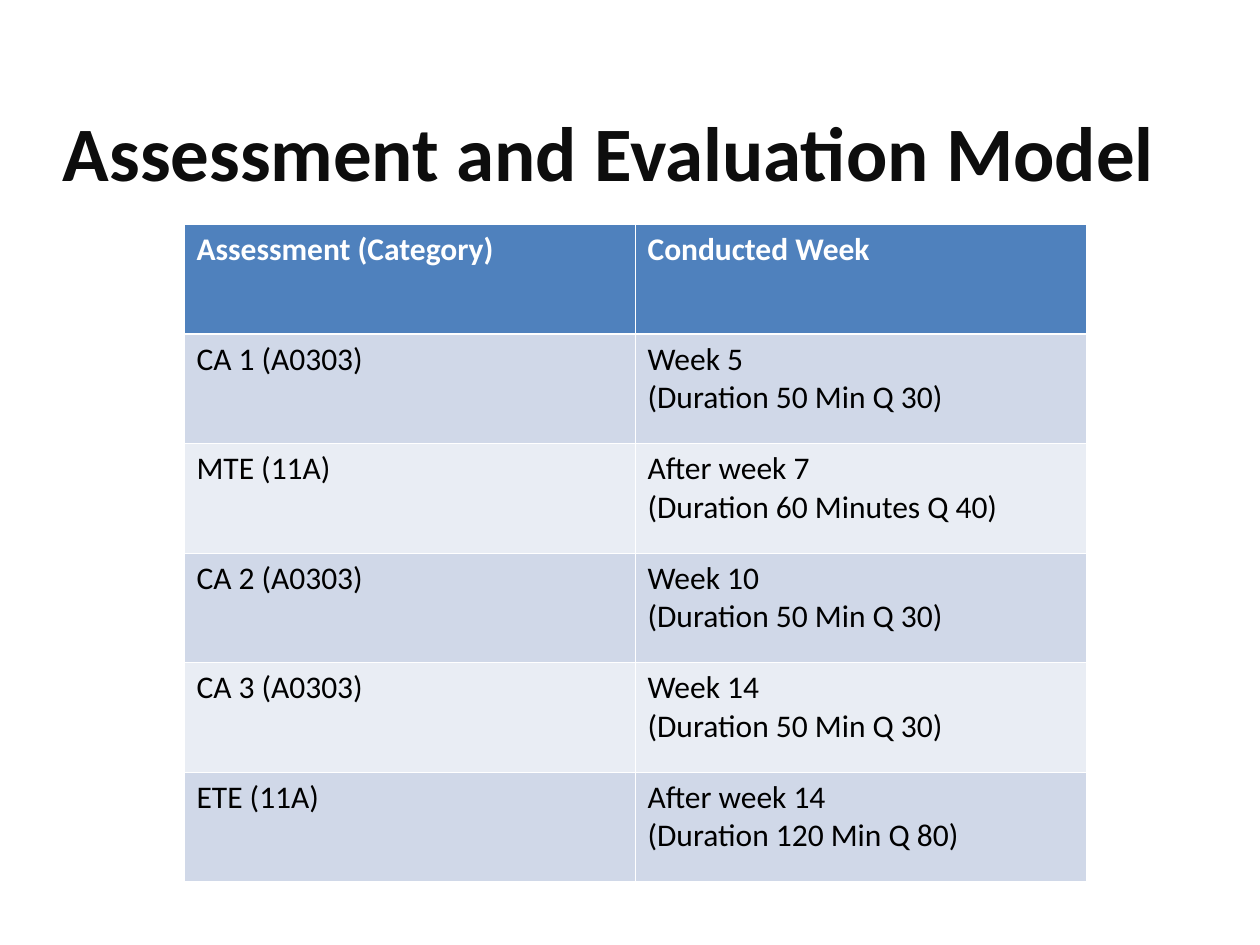
"""Build the assessment and evaluation slide."""
from lxml.etree import SubElement as Sub
from pptx import Presentation as Deck
from pptx.dml.color import RGBColor as Color
from pptx.enum.text import MSO_ANCHOR as Anchor
from pptx.oxml.ns import qn
from pptx.util import Inches, Pt

TITLE = "Assessment and Evaluation Model"
ROWS = [
    ("Assessment (Category)", "Conducted Week"),
    ("CA 1 (A0303)", "Week 5\v(Duration 50 Min Q 30)"),
    ("MTE (11A)", "After week 7\v(Duration 60 Minutes Q 40)"),
    ("CA 2 (A0303)", "Week 10\n(Duration 50 Min Q 30)"),
    ("CA 3 (A0303)", "Week 14\n(Duration 50 Min Q 30)"),
    ("ETE (11A)", "After week 14\n(Duration 120 Min Q 80)"),
]
THEME = {
    "title": {"name": "Calibri", "size": Pt(44), "bold": True, "color": "0D0D0D"},
    "head": {"name": "Calibri", "size": Pt(18), "bold": True, "color": "FFFFFF"},
    "body": {"name": "Calibri", "size": Pt(18), "bold": False, "color": "000000"},
    "fills": {"head": "4F81BD", "bands": ("E9EDF4", "D0D8E8")},
    "rule": {"color": "FFFFFF", "thin": Pt(0.45), "thick": Pt(1.47)},
}
WIDE, HIGH = Inches(10), Inches(7.5)
COL, ROW = Inches(3.58), Inches(0.87)


def style(frame, look):
    for para in frame.paragraphs:
        for run in para.runs:
            for key, val in look.items():
                if key == "color":
                    run.font.color.rgb = Color.from_string(val)
                else:
                    setattr(run.font, key, val)


def rule(cell, row):
    edge = THEME["rule"]
    heavy = {0: "B", 1: "T"}.get(row)
    props = cell._tc.get_or_add_tcPr()
    for side in "LRTB":
        width = edge["thick" if side == heavy else "thin"]
        line = Sub(props, qn(f"a:ln{side}"), w=str(int(width)))
        Sub(Sub(line, qn("a:solidFill")), qn("a:srgbClr"), val=edge["color"])


def add_title(slide):
    box = slide.shapes.add_textbox(
        int(WIDE * 0.04), Inches(0.8), Inches(9.48), Inches(0.8))
    frame = box.text_frame
    frame.word_wrap = True
    frame.vertical_anchor = Anchor.MIDDLE
    frame.text = TITLE
    style(frame, THEME["title"])


def add_grid(slide):
    cols = len(ROWS[0])
    table = slide.shapes.add_table(
        len(ROWS), cols, Inches(1.46), Inches(1.78),
        COL * cols, ROW * len(ROWS)).table
    for col in table.columns:
        col.width = COL
    for r, texts in enumerate(ROWS):
        table.rows[r].height = ROW
        fills = THEME["fills"]
        shade = fills["bands"][r % 2] if r else fills["head"]
        for c, text in enumerate(texts):
            cell = table.cell(r, c)
            cell.text = text
            style(cell.text_frame, THEME["body" if r else "head"])
            rule(cell, r)
            cell.fill.solid()
            cell.fill.fore_color.rgb = Color.from_string(shade)


def main():
    deck = Deck()
    deck.slide_width, deck.slide_height = WIDE, HIGH
    slide = deck.slides.add_slide(deck.slide_layouts[6])
    add_title(slide)
    add_grid(slide)
    deck.save("out.pptx")


if __name__ == "__main__":
    main()
